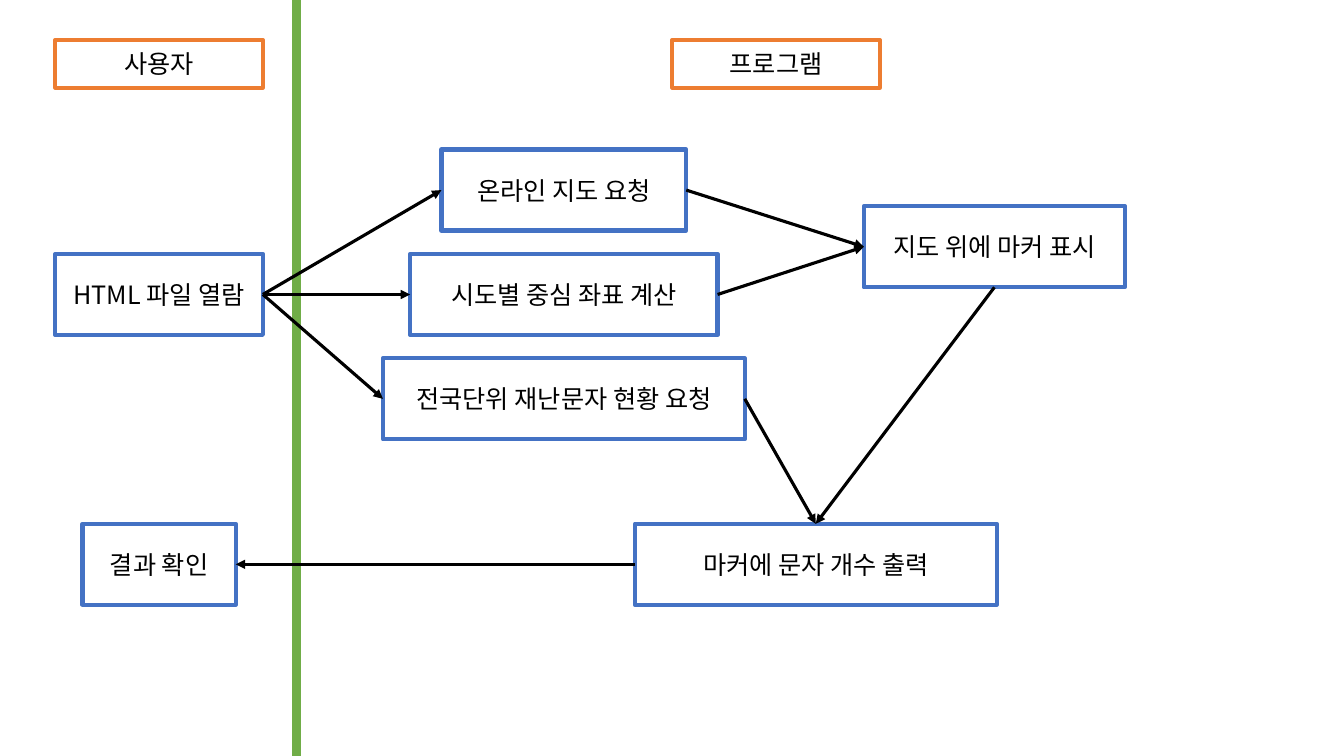
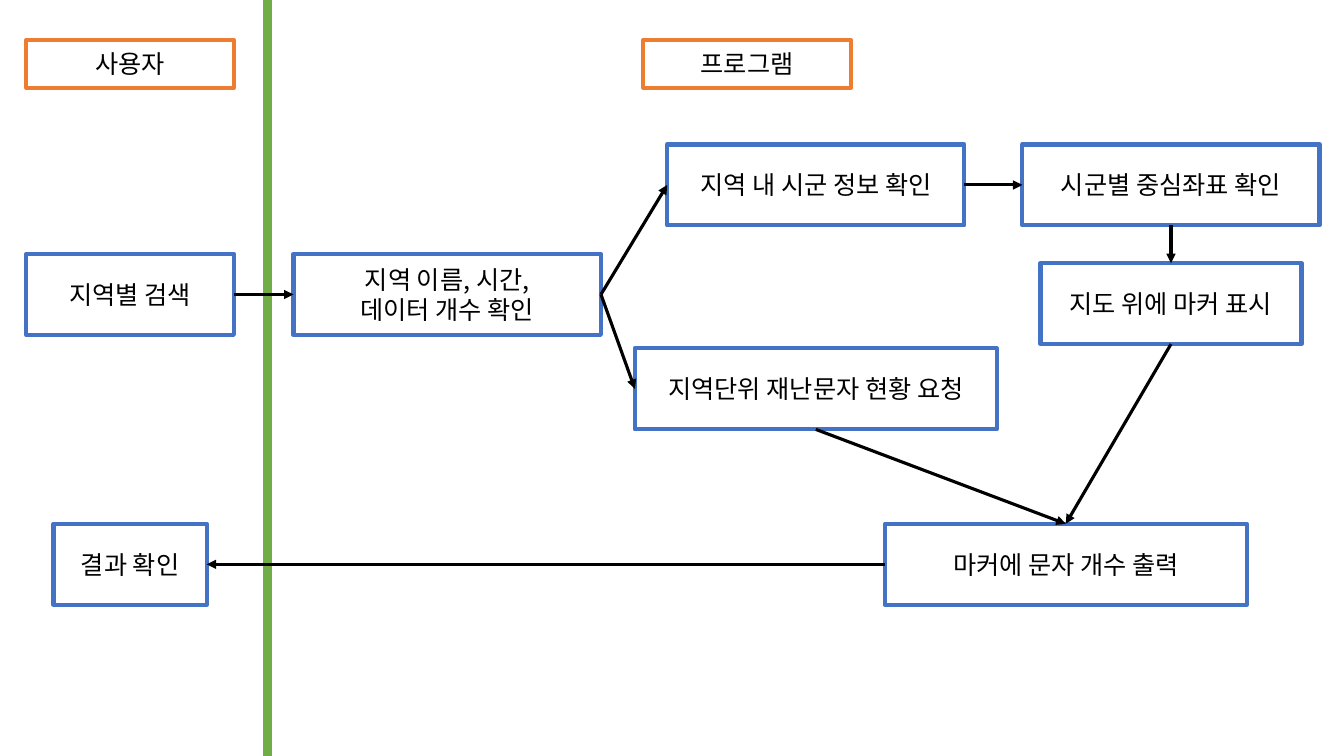
from dataclasses import dataclass

from lxml import etree
from pptx import Presentation
from pptx.dml.color import RGBColor
from pptx.enum.shapes import MSO_CONNECTOR, MSO_SHAPE
from pptx.enum.text import MSO_ANCHOR, PP_ALIGN
from pptx.oxml.ns import qn
from pptx.util import Cm, Pt

RECT = MSO_SHAPE.RECTANGLE
LINE = MSO_CONNECTOR.STRAIGHT
MIDDLE = MSO_ANCHOR.MIDDLE
CENTER = PP_ALIGN.CENTER
TOP, LEFT, BOTTOM, RIGHT = range(4)


@dataclass(frozen=True)
class Theme:
    font: str = "Noto Sans CJK KR"
    size: float = 18
    ink: str = "000000"
    paper: str = "FFFFFF"
    step: str = "4472C4"
    head: str = "ED7D31"
    lane: str = "70AD47"
    edge: float = 3
    arrow: float = 2.25
    rule: float = 6


THEME = Theme()

# Shared layout, in cm: lanes move left together by a slide's shift
WIDE, HIGH = 33.87, 19.05
USER_X, RULE_X, PROG_X = 4.01, 7.47, 19.56
HEAD_Y, MID_Y, END_Y = 1.61, 7.42, 14.22
HEAD_H, STEP_H = 1.2, 2.04
USER_W, END_W, OUT_W = 5.23, 3.86, 9.12
ROW = 2.63
HEADS = [("사용자", USER_X), ("프로그램", PROG_X)]

# Content: steps are key: (text, centre x, centre y, width);
# arrows are (from, side, to, side)
SLIDES = [
    {
        "shift": 0,
        "start": "HTML 파일 열람",
        "out_x": 20.56,
        "steps": {
            "map": ("온라인 지도 요청", 14.21, MID_Y - ROW, 6.17),
            "calc": ("시도별 중심 좌표 계산", 14.21, MID_Y, 7.75),
            "ask": ("전국단위 재난문자 현황 요청", 14.21, MID_Y + ROW, 9.12),
            "mark": ("지도 위에 마커 표시", 25.06, 6.22, 6.58),
        },
        "arrows": [
            ("start", RIGHT, "calc", LEFT),
            ("start", RIGHT, "map", LEFT),
            ("start", RIGHT, "ask", LEFT),
            ("map", RIGHT, "mark", LEFT),
            ("calc", RIGHT, "mark", LEFT),
            ("mark", BOTTOM, "out", TOP),
            ("ask", RIGHT, "out", TOP),
        ],
    },
    {
        "shift": 0.73,
        "start": "지역별 검색",
        "out_x": 26.86,
        "steps": {
            "town": ("지역 내 시군 정보 확인", 20.56, 4.66, 7.49),
            "check": ("지역 이름, 시간,\n데이터 개수 확인", 11.27, MID_Y, 7.75),
            "ask": ("지역단위 재난문자 현황 요청", 20.56, 9.8, 9.12),
            "mark": ("지도 위에 마커 표시", 29.51, 7.65, 6.58),
            "spot": ("시군별 중심좌표 확인", 29.51, 4.66, 7.49),
        },
        "arrows": [
            ("start", RIGHT, "check", LEFT),
            ("check", RIGHT, "town", LEFT),
            ("check", RIGHT, "ask", LEFT),
            ("town", RIGHT, "spot", LEFT),
            ("spot", BOTTOM, "mark", TOP),
            ("mark", BOTTOM, "out", TOP),
            ("ask", BOTTOM, "out", TOP),
        ],
    },
]


def rgb(code):
    return RGBColor.from_string(code)


# Drawing helpers
def add_box(slide, text, x, y, wide, high, edge):
    box = slide.shapes.add_shape(
        RECT, Cm(x - wide / 2), Cm(y - high / 2), Cm(wide), Cm(high))
    box.shadow.inherit = False
    box.fill.solid()
    box.fill.fore_color.rgb = rgb(THEME.paper)
    box.line.color.rgb = rgb(edge)
    box.line.width = Pt(THEME.edge)
    frame = box.text_frame
    frame.word_wrap = True
    frame.vertical_anchor = MIDDLE
    frame.text = text
    for para in frame.paragraphs:
        para.alignment = CENTER
        for run in para.runs:
            font = run.font
            font.name = THEME.font
            font.size = Pt(THEME.size)
            font.color.rgb = rgb(THEME.ink)
            east = etree.SubElement(run._r.get_or_add_rPr(), qn("a:ea"))
            east.set("typeface", THEME.font)
    return box


def add_line(slide, color, width, ends=(0, 0, 0, 0)):
    line = slide.shapes.add_connector(LINE, *map(Cm, ends))
    line.line.color.rgb = rgb(color)
    line.line.width = Pt(width)
    etree.SubElement(line._element.spPr, qn("a:effectLst"))
    return line


def add_arrow(slide, start, side, end, port):
    line = add_line(slide, THEME.ink, THEME.arrow)
    line.begin_connect(start, side)
    line.end_connect(end, port)
    tip = etree.SubElement(line.line._get_or_add_ln(), qn("a:tailEnd"))
    tip.set("type", "triangle")


# One flow chart per slide
def add_flow(deck, data):
    slide = deck.slides.add_slide(deck.slide_layouts[6])
    shift = data["shift"]
    rule_x, user_x = RULE_X - shift, USER_X - shift
    add_line(slide, THEME.lane, THEME.rule, (rule_x, 0, rule_x, HIGH))
    for text, x in HEADS:
        add_box(slide, text, x - shift, HEAD_Y, USER_W, HEAD_H, THEME.head)

    steps = {
        "start": (data["start"], user_x, MID_Y, USER_W),
        **data["steps"],
        "out": ("마커에 문자 개수 출력", data["out_x"], END_Y, OUT_W),
        "end": ("결과 확인", user_x, END_Y, END_W),
    }
    boxes = {key: add_box(slide, *step, STEP_H, THEME.step)
             for key, step in steps.items()}
    for start, side, end, port in data["arrows"] + [("out", LEFT, "end", RIGHT)]:
        add_arrow(slide, boxes[start], side, boxes[end], port)


def main():
    deck = Presentation()
    deck.slide_width, deck.slide_height = Cm(WIDE), Cm(HIGH)
    for data in SLIDES:
        add_flow(deck, data)
    deck.save("out.pptx")


if __name__ == "__main__":
    main()
